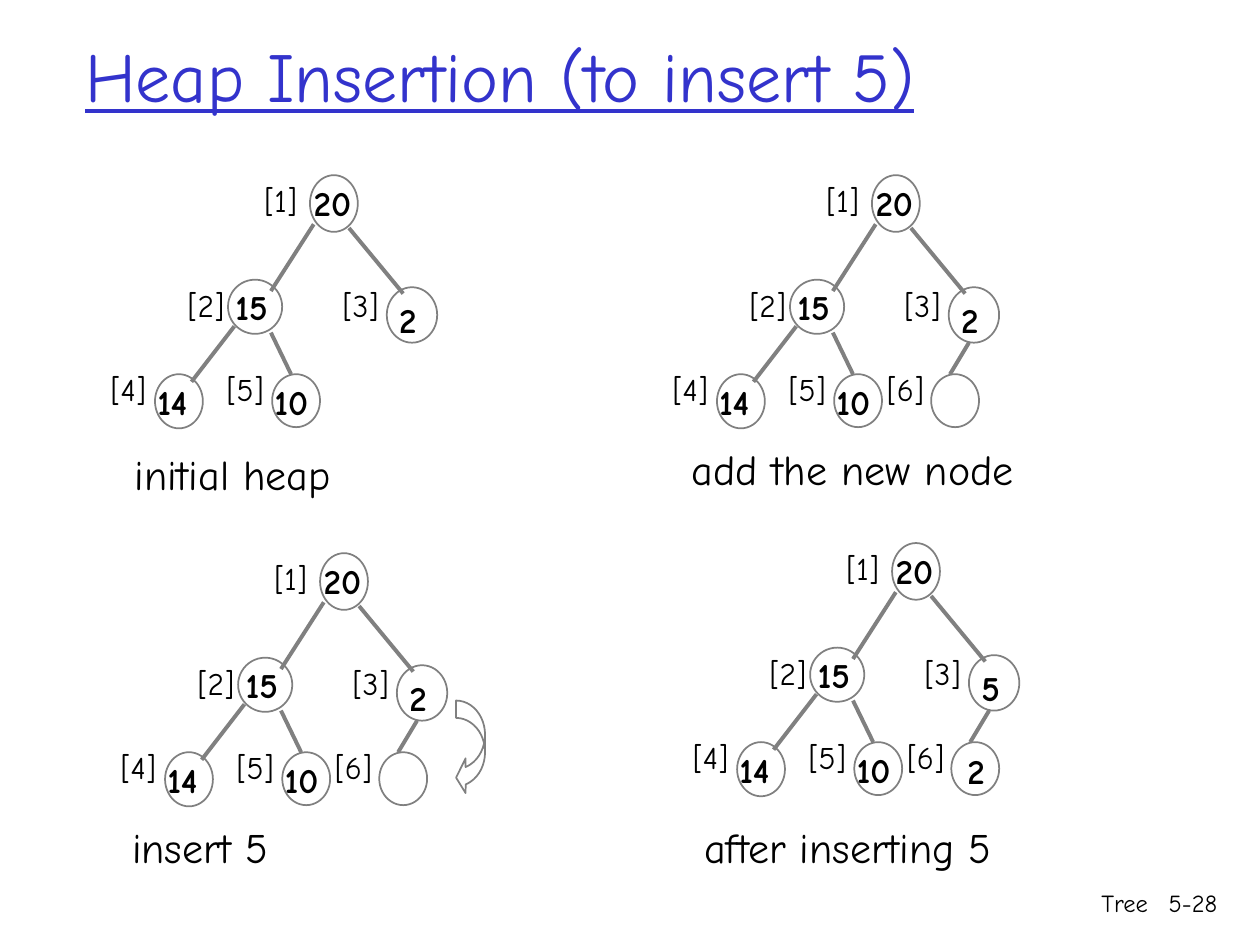
from collections import namedtuple

from lxml.etree import SubElement
from pptx import Presentation
from pptx.dml.color import RGBColor
from pptx.enum.shapes import MSO_CONNECTOR as Connector, MSO_SHAPE as Shape
from pptx.enum.text import MSO_ANCHOR as Anchor, MSO_AUTO_SIZE as AutoSize, PP_ALIGN as Align
from pptx.oxml.ns import qn
from pptx.util import Inches, Pt

FONT = "Comic Neue"
COLORS = {"title": "3333CC", "text": "000000", "line": "808080"}

Node = namedtuple("Node", "circle key label edge")
NODES = [
    Node((1.68, 0, 0.38, 0.45), (1.61, 0, 0.55, 0.44), (1.22, 0, 0.5, 0.4), None),
    Node((1.03, 0.83, 0.43, 0.43), (0.99, 0.83, 0.55, 0.44), (0.61, 0.83, 0.55, 0.4),
         (1.71, 0.39, 1.37, 0.92)),
    Node((2.29, 0.89, 0.4, 0.44), (2.29, 0.93, 0.37, 0.44), (1.84, 0.83, 0.55, 0.4),
         (1.99, 0.42, 2.42, 0.94)),
    Node((0.45, 1.58, 0.38, 0.43), (0.37, 1.58, 0.55, 0.44), (0, 1.5, 0.55, 0.4),
         (1.08, 1.2, 0.74, 1.64)),
    Node((1.38, 1.58, 0.38, 0.42), (1.3, 1.58, 0.55, 0.44), (0.92, 1.5, 0.55, 0.4),
         (1.37, 1.25, 1.53, 1.58)),
    Node((2.15, 1.58, 0.38, 0.42), (2.18, 1.59, 0.37, 0.44), (1.7, 1.5, 0.55, 0.4),
         (2.45, 1.33, 2.3, 1.58)),
]

Tree = namedtuple("Tree", "left top keys caption caption_box")
TREES = [
    Tree(0.78, 1.39, ["20", "15", "2", "14", "10"],
         "initial heap", (0.19, 2.12, 1.92, 0.5)),
    Tree(5.24, 1.39, ["20", "15", "2", "14", "10", ""],
         "add the new node", (0.15, 2.08, 2.93, 0.5)),
    Tree(0.86, 4.39, ["20", "15", "2", "14", "10", ""],
         "insert 5", (0.09, 2.08, 1.44, 0.5)),
    Tree(5.4, 4.31, ["20", "15", "5", "14", "10", "2"],
         "after inserting 5", (0.09, 2.16, 2.84, 0.5)),
]


def color(name):
    return RGBColor.from_string(COLORS[name])


def shifted(box, left, top):
    return left + box[0], top + box[1], box[2], box[3]


def add_text(slide, box, text, size, wrap=False, align=Align.LEFT, ink="text", bold=False):
    shape = slide.shapes.add_textbox(*map(Inches, box))
    frame = shape.text_frame
    frame.word_wrap = wrap
    frame.auto_size = AutoSize.NONE if wrap else AutoSize.SHAPE_TO_FIT_TEXT
    paragraph = frame.paragraphs[0]
    paragraph.text = text
    paragraph.alignment = align
    font = paragraph.font
    font.name = FONT
    font.size = Pt(size)
    font.bold = bold
    font.color.rgb = color(ink)
    return shape


def add_outline(slide, kind, box):
    shape = slide.shapes.add_shape(kind, *map(Inches, box))
    shape.shadow.inherit = False
    shape.fill.background()
    shape.line.color.rgb = color("line")
    shape.line.width = Pt(1)
    return shape


def add_edge(slide, left, top, edge):
    x1, y1, x2, y2 = edge
    points = left + x1, top + y1, left + x2, top + y2
    connector = slide.shapes.add_connector(Connector.STRAIGHT, *map(Inches, points))
    connector.line.color.rgb = color("line")
    connector.line.width = Pt(2.25)
    SubElement(connector.element.spPr, qn("a:effectLst"))


def add_title(slide, box):
    title = add_text(slide, box, "Heap Insertion (to insert 5)", 40, wrap=True, ink="title")
    title.text_frame.vertical_anchor = Anchor.MIDDLE
    title.text_frame.paragraphs[0].font.underline = True


def add_tree(slide, tree):
    left, top = tree.left, tree.top
    for number, (node, key) in enumerate(zip(NODES, tree.keys), start=1):
        add_outline(slide, Shape.OVAL, shifted(node.circle, left, top))
        if node.edge:
            add_edge(slide, left, top, node.edge)
        if key:
            add_text(slide, shifted(node.key, left, top), key, 20, bold=True)
        add_text(slide, shifted(node.label, left, top), f"[{number}]", 18)
    add_text(slide, shifted(tree.caption_box, left, top), tree.caption, 24)


def add_swap_arrow(slide, box):
    arrow = add_outline(slide, Shape.CURVED_LEFT_ARROW, box)
    for index, value in enumerate((0.6, 1.2, 0.33)):
        arrow.adjustments[index] = value


def add_footer(slide, left, top):
    add_text(slide, (left, top, 3.17, 0.5), "Tree", 14, wrap=True, align=Align.RIGHT)
    add_text(slide, (left + 3.04, top, 0.68, 0.5), "5-28", 14, wrap=True, align=Align.RIGHT)


def main():
    presentation = Presentation()
    presentation.slide_width = Inches(10)
    presentation.slide_height = Inches(7.5)
    slide = presentation.slides.add_slide(presentation.slide_layouts[6])
    add_title(slide, (0.58, 0.25, 8.5, 0.68))
    for tree in TREES:
        add_tree(slide, tree)
    add_swap_arrow(slide, (3.62, 5.56, 0.23, 0.75))
    add_footer(slide, 6.04, 7)
    presentation.save("out.pptx")


if __name__ == "__main__":
    main()
